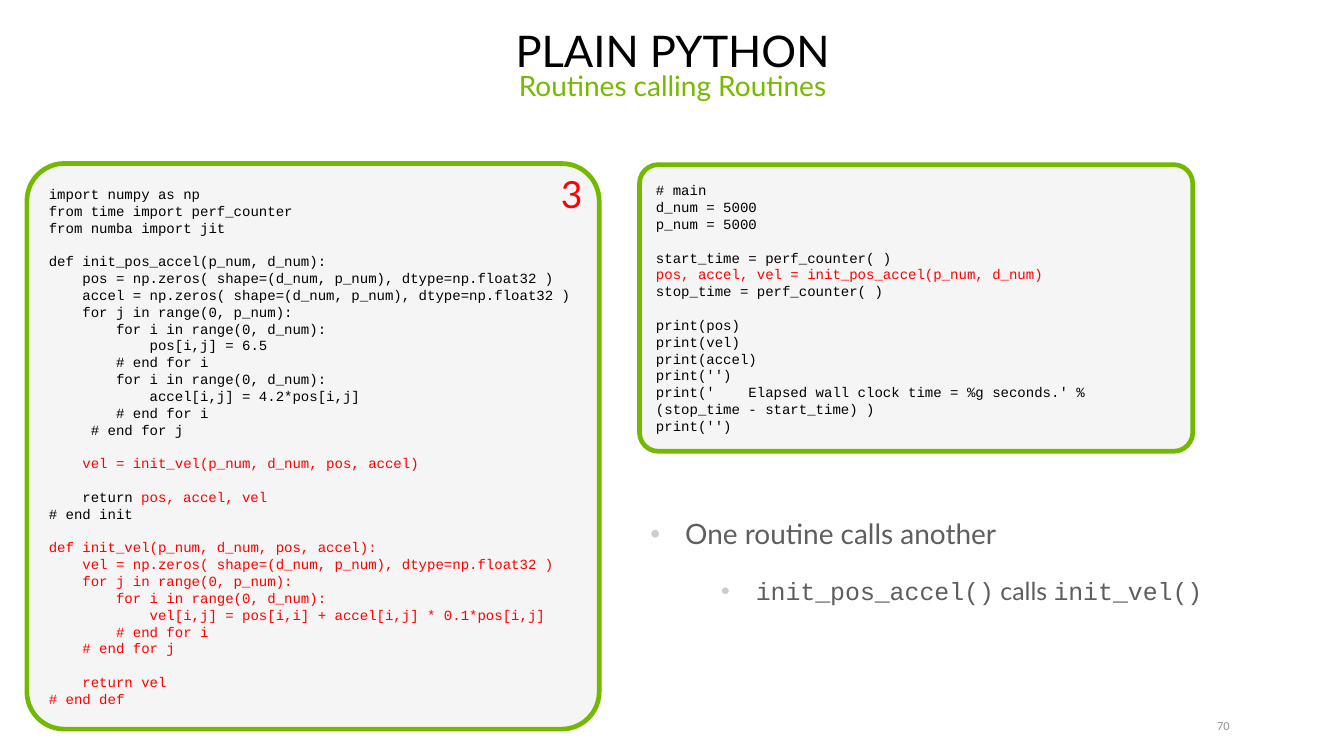
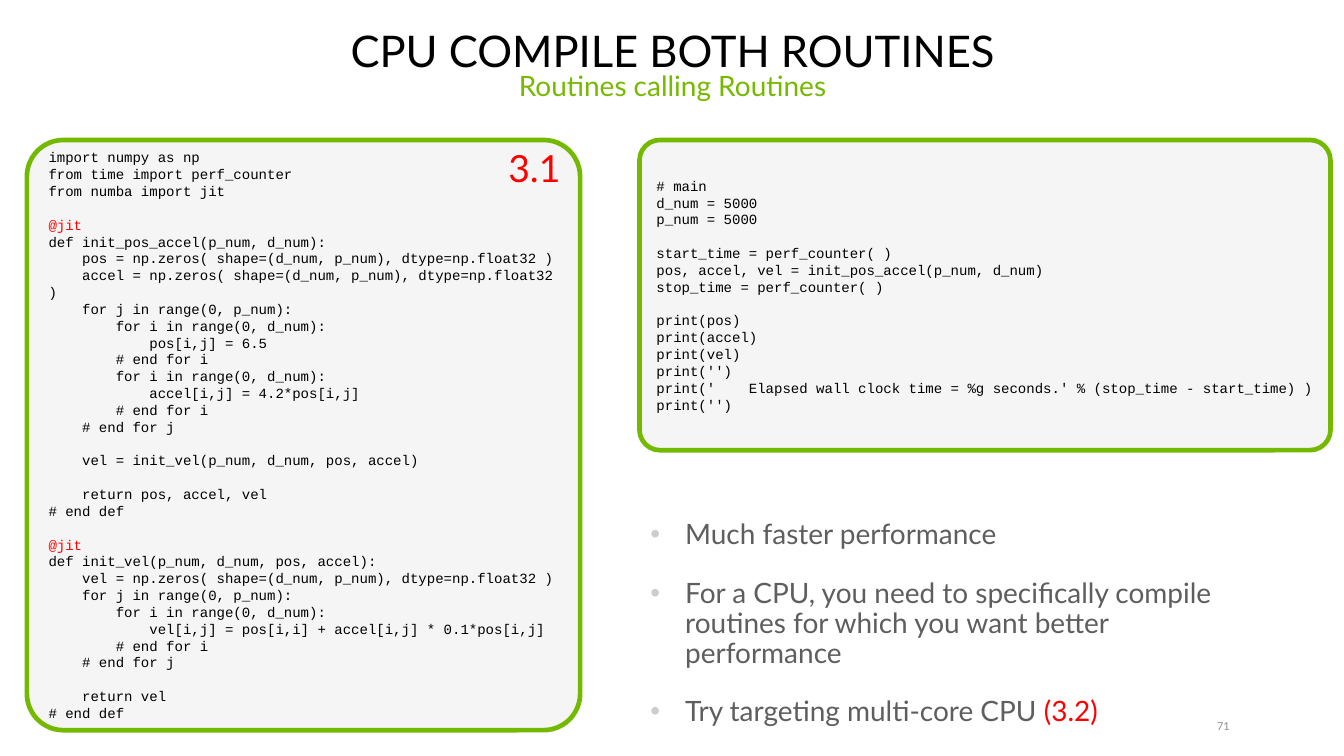
"""Build two slides that compare plain and compiled Python routines."""
from lxml.etree import SubElement as Sub
from pptx import Presentation
from pptx.dml.color import RGBColor as Rgb
from pptx.enum.shapes import MSO_SHAPE as Kind
from pptx.enum.text import MSO_ANCHOR as Anchor, PP_ALIGN as Align
from pptx.oxml.ns import qn
from pptx.util import Inches, Pt

HUES = {"black": "000000", "red": "FF0000", "edge": "73B900", "lime": "76B900",
        "panel": "F5F5F5", "gray": "5E5E5E", "dot": "CDCDCD", "page": "8C8C8C"}
SANS, MONO = "Lato", "Courier New"
SUBTITLE = "Routines calling Routines"

# In the text below, ~ switches red on or off and ` switches code font on or off.
IMPORTS = """import numpy as np
from time import perf_counter
from numba import jit
""".split("\n")
INIT = """def init_pos_accel(p_num, d_num):
    pos = np.zeros( shape=(d_num, p_num), dtype=np.float32 )
    accel = np.zeros( shape=(d_num, p_num), dtype=np.float32 )
    for j in range(0, p_num):
        for i in range(0, d_num):
            pos[i,j] = 6.5
        # end for i
        for i in range(0, d_num):
            accel[i,j] = 4.2*pos[i,j]
        # end for i""".split("\n")
VEL = """def init_vel(p_num, d_num, pos, accel):
    vel = np.zeros( shape=(d_num, p_num), dtype=np.float32 )
    for j in range(0, p_num):
        for i in range(0, d_num):
            vel[i,j] = pos[i,i] + accel[i,j] * 0.1*pos[i,j]
        # end for i
    # end for j

    return vel
# end def""".split("\n")
CALL = "vel = init_vel(p_num, d_num, pos, accel)"
START = ["# main", "d_num = 5000", "p_num = 5000", "", "start_time = perf_counter( )"]
RUN = "pos, accel, vel = init_pos_accel(p_num, d_num)"
STOP = ["stop_time = perf_counter( )", "", "print(pos)"]
LAST = ["print('')",
        "print('    Elapsed wall clock time = %g seconds.' % (stop_time - start_time) )",
        "print('')"]

SLIDES = [
    {"title": "PLAIN PYTHON", "page": "70",
     "left": (0.24, 1.46, 5.11, 5.05), "right": (5.71, 1.47, 4.94, 2.56),
     "defs": IMPORTS + INIT + ["     # end for j", "", f"    ~{CALL}", "",
                               "    return ~pos, accel, vel", "# end init", ""]
             + [line and f"~{line}" for line in VEL],
     "main": START + [f"~{RUN}"] + STOP + ["print(vel)", "print(accel)"] + LAST,
     "mark": ("3", (4.91, 1.52, 0.38, 0.46)),
     "points": [(0, "One routine calls another"),
                (1, "`init_pos_accel()` calls `init_vel()")]},
    {"title": "CPU COMPILE BOTH ROUTINES", "page": "71",
     "left": (0.24, 1.25, 4.94, 5.27), "right": (5.71, 1.25, 6.17, 2.77),
     "defs": IMPORTS + ["~@jit"] + INIT + ["    # end for j", "", f"    {CALL}", "",
                                           "    return pos, accel, vel", "# end def",
                                           "", "~@jit"] + VEL,
     "main": START + [RUN] + STOP + ["print(accel)", "print(vel)"] + LAST,
     "mark": ("3.1", (4.44, 1.29, 0.68, 0.46)),
     "points": [(0, "Much faster performance"),
                (0, "For a CPU, you need to specifically compile routines "
                    "for which you want better performance"),
                (0, "Try targeting multi-core CPU ~(3.2)")]},
]


def dot(para, level):
    """Give a paragraph its bullet and hanging indent."""
    para.level = level
    props = para._p.get_or_add_pPr()
    props.set("marL", str(Inches((0.31, 0.94)[level])))
    props.set("indent", str(Inches(-0.31)))
    Sub(Sub(props, qn("a:buClr")), qn("a:srgbClr"), val=HUES["dot"])
    Sub(props, qn("a:buFont"), typeface="Arial")
    Sub(props, qn("a:buChar"), char="•")


def write(shape, lines, size=18, hue="black", font=SANS, align=Align.LEFT,
          anchor=Anchor.TOP, inset=(0.1, 0.05, 0.1, 0.05), wrap=True,
          lead=None, gap=0, blank=0):
    """Fill a shape with lines, or (level, line) pairs for bullets."""
    frame = shape.text_frame
    frame.word_wrap, frame.vertical_anchor = wrap, anchor
    (frame.margin_left, frame.margin_top,
     frame.margin_right, frame.margin_bottom) = map(Inches, inset)
    para, skip = None, 0
    for line in lines:
        if not line:
            skip += blank
            continue
        first = para is None
        para = frame.paragraphs[0] if first else frame.add_paragraph()
        level, text = (None, line) if isinstance(line, str) else line
        if level is not None:
            dot(para, level)
        para.alignment = align
        if lead:
            para.line_spacing = lead
        if not first:
            para.space_before = Pt(gap + skip)
        para.space_after = Pt(gap)
        skip = 0
        for i, tint in enumerate(text.split("~")):
            for j, part in enumerate(tint.split("`")):
                if part:
                    run = para.add_run()
                    run.text = part
                    run.font.size = Pt(size - 2 * (level or 0))
                    run.font.name = MONO if j % 2 else font
                    run.font.color.rgb = Rgb.from_string(HUES["red" if i % 2 else hue])


def label(slide, box, lines, **style):
    """Add a text box."""
    write(slide.shapes.add_textbox(*map(Inches, box)), lines, **style)


def panel(slide, box, lines):
    """Add a rounded code panel."""
    shape = slide.shapes.add_shape(Kind.ROUNDED_RECTANGLE, *map(Inches, box))
    shape.adjustments[0] = 0.066
    shape.shadow.inherit = False
    shape.fill.solid()
    shape.fill.fore_color.rgb = Rgb.from_string(HUES["panel"])
    shape.line.color.rgb = Rgb.from_string(HUES["edge"])
    shape.line.width = Pt(3)
    write(shape, lines, size=9, font=MONO, anchor=Anchor.MIDDLE, blank=10.8)


def build(deck, item):
    """Add one slide."""
    slide = deck.slides.add_slide(deck.slide_layouts[6])
    label(slide, (10.66, 6.41, 0.35, 0.15), [item["page"]], size=7, hue="page",
          align=Align.RIGHT, anchor=Anchor.MIDDLE, inset=(0, 0, 0.03, 0))
    label(slide, (0.55, 0.09, 10.91, 0.65), [item["title"]], size=28,
          align=Align.CENTER, anchor=Anchor.BOTTOM, lead=0.9)
    panel(slide, item["left"], item["defs"])
    label(slide, (0.55, 0.6, 10.91, 0.57), [SUBTITLE], hue="lime",
          align=Align.CENTER, lead=0.9, gap=9)
    panel(slide, item["right"], item["main"])
    label(slide, (5.71, 4.6, 5.74, 1.74), item["points"], hue="gray", lead=0.9, gap=9)
    mark, box = item["mark"]
    label(slide, box, [mark], size=24, hue="red", anchor=Anchor.MIDDLE,
          wrap=False, lead=0.9)


def main():
    """Build and save the deck."""
    deck = Presentation()
    deck.slide_width, deck.slide_height = Inches(12), Inches(6.75)
    for item in SLIDES:
        build(deck, item)
    deck.save("out.pptx")


if __name__ == "__main__":
    main()
